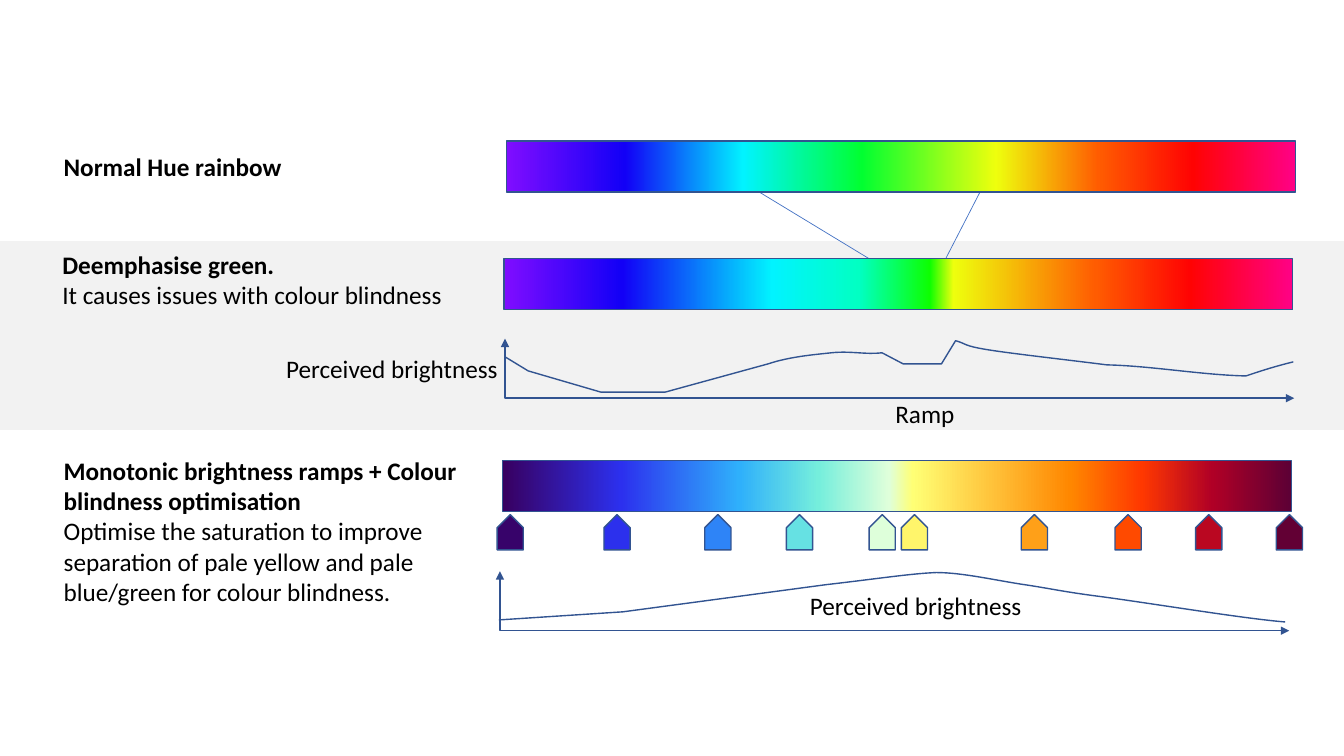
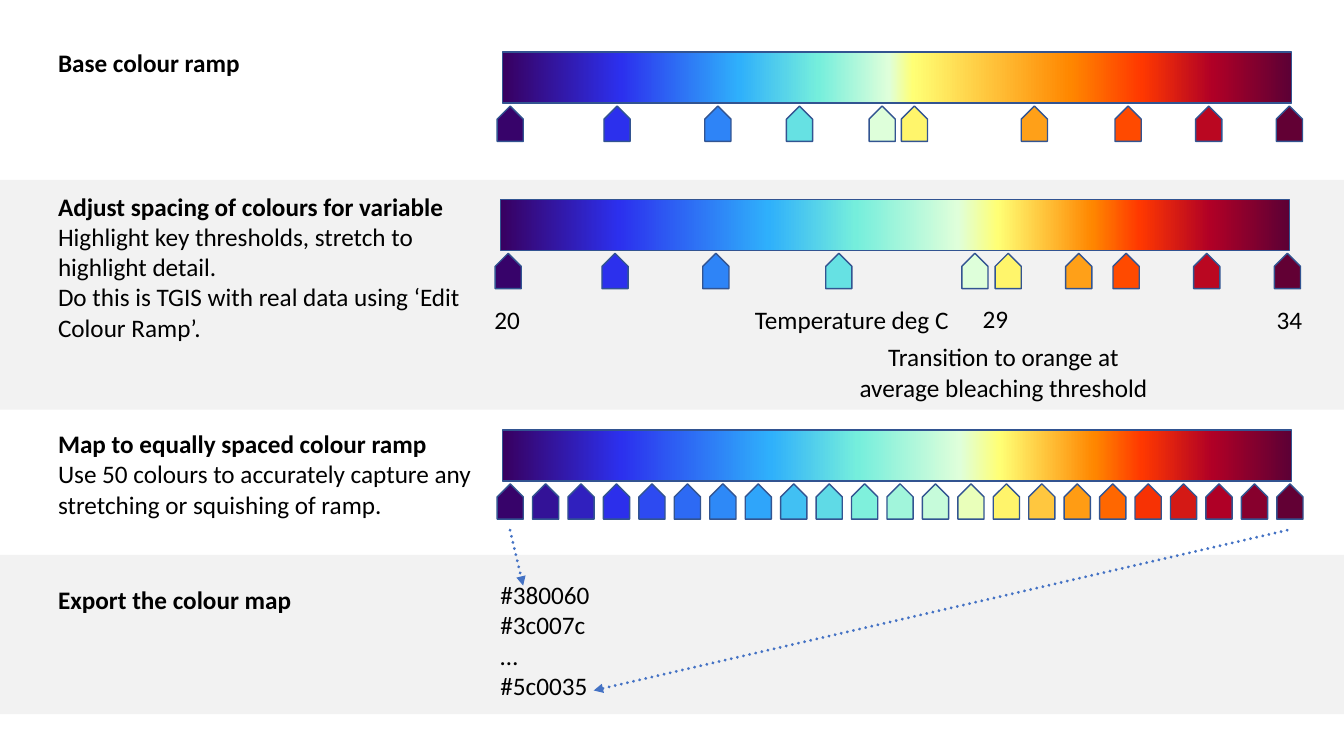
from dataclasses import dataclass
from typing import Any

from lxml.etree import SubElement
from pptx import Presentation
from pptx.dml.color import RGBColor
from pptx.enum.dml import MSO_LINE
from pptx.enum.shapes import MSO_CONNECTOR, MSO_SHAPE
from pptx.enum.text import MSO_AUTO_SIZE, PP_ALIGN
from pptx.oxml.ns import qn
from pptx.util import Emu, Inches, Pt

COLUMNS, ROWS = 133.33, 75
CELL = Inches(0.1)

INK, STRIPE, OUTLINE, LINK = "000000", "F2F2F2", "325491", "4472C4"
BODY_FONT = {"name": "Calibri", "size": Pt(18)}
BODY_FRAME = {"word_wrap": True, "auto_size": MSO_AUTO_SIZE.SHAPE_TO_FIT_TEXT}

RAMP_WIDTH, RAMP_HEIGHT = 78.25, 5.07
POINTER_LENGTH, POINTER_BREADTH = 3.5, 2.6
POINTER_DROP, FIRST_POINTER, LAST_POINTER = 5.8, -1, 76.35
AXIS_WIDTH, AXIS_HEIGHT = 78.3, 5.9

Stops = list[tuple[int, str]]
Route = list[tuple[float, ...]]

RAINBOW: Stops = [
    (0, "800DFF"), (15, "1200F6"), (30, "01F3FF"), (45, "01FF31"),
    (62, "EEFF0D"), (75, "FF5C01"), (87, "FF0303"), (100, "FF0186"),
]
LESS_GREEN: Stops = [
    (0, "800DFF"), (15, "1200F6"), (34, "01F3FF"), (45, "01FFC3"), (54, "0DFF01"),
    (57, "EEFF0D"), (75, "FF5C01"), (87, "FF0303"), (100, "FF0186"),
]
MONOTONIC = ["380060", "2C30EE", "2FB0FB", "75EEDC", "DFFFDA",
             "FFFF75", "FF8700", "FF3800", "B00026", "5C0035"]
BASE: Stops = list(zip([0, 15, 30, 40, 49, 52, 72, 81, 90, 100], MONOTONIC))
STRETCHED: Stops = list(zip([0, 15, 34, 45, 58, 63, 75, 81, 90, 100], MONOTONIC))

KEY_COLOURS = ["37036A", "2C30ED", "2E84F7", "66E1E3", "DEFFDA",
               "FFF56B", "FFA018", "FF4A00", "BA0721", "620034"]
BASE_KEYS = list(zip([-1, 9.6, 19.6, 27.7, 35.9, 39.1, 51, 60.3, 68.3, 76.3], KEY_COLOURS))
STRETCHED_KEYS = list(zip([-1, 9.6, 19.6, 31.8, 45.3, 48.6, 55.6, 60.3, 68.3, 76.3], KEY_COLOURS))
EVEN_COLOURS = [
    "37036A", "331297", "3020BE", "2C2FEB", "2D4AF1", "2D6AF4", "2E89F7", "2FA5FA",
    "41C0F3", "5FDAE6", "7FF0DC", "A1F5DB", "C6FBDA", "E9FFBA", "FFF46B", "FFC73F",
    "FF9C14", "FF6700", "F73204", "D41915", "AF0026", "87002D", "620034",
]
EVEN_GAP = (LAST_POINTER - FIRST_POINTER) / (len(EVEN_COLOURS) - 1)
EVEN_KEYS = [(FIRST_POINTER + i * EVEN_GAP, shade) for i, shade in enumerate(EVEN_COLOURS)]

LESS_GREEN_BRIGHTNESS: Route = [
    (50.1, 35.4), (52.4, 36.8), (59.6, 38.9), (66, 38.9), (76.2, 36.1),
    (78.3, 35.4, 80.6, 35.2, 82.5, 35), (84.4, 34.8, 85.9, 35.2, 87.5, 35),
    (89.6, 36.1), (93.4, 36.1), (94.8, 33.8),
    (95.9, 34.1, 95.5, 34.3, 98, 34.7), (100.5, 35.1, 105.9, 35.7, 109.8, 36.2),
    (114.2, 36.3, 119.2, 37.2, 123.6, 37.3), (125.1, 36.8, 126.3, 36.4, 128.3, 35.9),
]
MONOTONIC_BRIGHTNESS: Route = [
    (49.5, 61.5), (61.8, 60.7), (82, 58),
    (87.2, 57.4, 90.4, 56.9, 92.9, 56.8), (95.5, 56.8, 98.9, 57.6, 101.6, 58),
    (104.3, 58.4, 105.4, 58.7, 109.3, 59.2), (114.5, 59.9, 123.6, 61.4, 127.5, 61.7),
]


@dataclass
class Ramp:
    left: float
    top: float
    stops: Stops
    keys: list[tuple[float, str]]


@dataclass
class Label:
    left: float
    top: float
    width: float
    height: float
    lines: list[str]
    heading: str = ""
    centred: bool = False
    wraps: bool = True


@dataclass
class Link:
    start: tuple[float, float]
    end: tuple[float, float]
    weight: float = 0.5
    dotted_arrow: bool = False


def cells(count: float) -> Emu:
    return Emu(round(count * CELL))


def paint(target: Any, shade: str) -> None:
    target.rgb = RGBColor.from_string(shade)


def apply(target: Any, values: dict[str, Any]) -> None:
    for name, value in values.items():
        setattr(target, name, value)


def solid(shape: Any, shade: str) -> None:
    shape.fill.solid()
    paint(shape.fill.fore_color, shade)


def outline(shape: Any) -> None:
    shape.shadow.inherit = False
    paint(shape.line.color, OUTLINE)
    shape.line.width = Pt(1)


def add_arrowheads(shape: Any, *ends: str) -> None:
    for end in ends:
        SubElement(shape.line._get_or_add_ln(), qn(f"a:{end}"), type="triangle")


def add_block(slide: Any, kind: Any, *box: float) -> Any:
    return slide.shapes.add_shape(kind, *map(cells, box))


def draw_stripe(slide: Any, top: float, height: float) -> None:
    stripe = add_block(slide, MSO_SHAPE.RECTANGLE, 0, top, COLUMNS, height)
    stripe.shadow.inherit = False
    solid(stripe, STRIPE)
    stripe.line.fill.background()


def draw_ramp(slide: Any, ramp: Ramp) -> None:
    band = add_block(slide, MSO_SHAPE.RECTANGLE, ramp.left, ramp.top, RAMP_WIDTH, RAMP_HEIGHT)
    band.fill.gradient()
    band.fill.gradient_angle = 0
    stop_list = band._element.spPr.find(qn("a:gradFill")).find(qn("a:gsLst"))
    for default_stop in list(stop_list):
        stop_list.remove(default_stop)
    for share, shade in ramp.stops:
        stop = SubElement(stop_list, qn("a:gs"), pos=str(share * 1000))
        SubElement(stop, qn("a:srgbClr"), val=shade)
    outline(band)
    for offset, shade in ramp.keys:
        pointer = add_block(slide, MSO_SHAPE.PENTAGON, ramp.left + offset,
                            ramp.top + POINTER_DROP, POINTER_LENGTH, POINTER_BREADTH)
        pointer.rotation = 270
        solid(pointer, shade)
        outline(pointer)


def draw_label(slide: Any, label: Label) -> None:
    box = slide.shapes.add_textbox(*map(cells, (label.left, label.top, label.width, label.height)))
    frame = box.text_frame
    apply(frame, BODY_FRAME | {"word_wrap": label.wraps})
    texts = [label.heading] * bool(label.heading) + label.lines
    for index, text in enumerate(texts):
        paragraph = frame.add_paragraph() if index else frame.paragraphs[0]
        paragraph.alignment = PP_ALIGN.CENTER if label.centred else PP_ALIGN.LEFT
        run = paragraph.add_run()
        run.text = text
        apply(run.font, BODY_FONT | {"bold": bool(label.heading) and index == 0})
        paint(run.font.color, INK)


def draw_link(slide: Any, link: Link) -> None:
    line = slide.shapes.add_connector(MSO_CONNECTOR.STRAIGHT, *map(cells, link.start + link.end))
    SubElement(line._element.spPr, qn("a:effectLst"))
    paint(line.line.color, LINK)
    line.line.width = Pt(link.weight)
    if link.dotted_arrow:
        line.line.dash_style = MSO_LINE.ROUND_DOT
        line.line._get_or_add_ln().set("cap", "rnd")
        add_arrowheads(line, "tailEnd")


def draw_route(slide: Any, route: Route) -> Any:
    start, *rest = [tuple(map(cells, step[-2:])) for step in route]
    builder = slide.shapes.build_freeform(*start, scale=1.0)
    builder.add_line_segments(rest, close=False)
    trace = builder.convert_to_shape()
    segments = list(trace._element.iter(qn("a:lnTo")))
    for segment, step in zip(segments, route[1:]):
        if len(step) == 6:
            segment.tag = qn("a:cubicBezTo")
            for index in (0, 1):
                x, y = map(cells, step[2 * index:2 * index + 2])
                handle = SubElement(segment, qn("a:pt"), x=str(x - trace.left), y=str(y - trace.top))
                segment.insert(index, handle)
    trace.fill.background()
    outline(trace)
    return trace


def draw_brightness(slide: Any, left: float, top: float, curve: Route) -> None:
    floor = top + AXIS_HEIGHT
    axes = draw_route(slide, [(left, top), (left, floor), (left + AXIS_WIDTH, floor)])
    add_arrowheads(axes, "headEnd", "tailEnd")
    draw_route(slide, curve)


def draw_slide(deck: Any, stripes: list[tuple[float, float]], links: list[Link],
               ramps: list[Ramp], labels: list[Label]) -> Any:
    slide = deck.slides.add_slide(deck.slide_layouts[6])
    for top, height in stripes:
        draw_stripe(slide, top, height)
    for link in links:
        draw_link(slide, link)
    for ramp in ramps:
        draw_ramp(slide, ramp)
    for label in labels:
        draw_label(slide, label)
    return slide


deck = Presentation()
apply(deck, {"slide_width": cells(COLUMNS), "slide_height": cells(ROWS)})

comparison = draw_slide(
    deck,
    stripes=[(23.93, 18.72)],
    links=[Link((75.4, 19.1), (87.1, 26.2)), Link((97.2, 19.1), (92.1, 29))],
    ramps=[Ramp(50.28, 14, RAINBOW, []), Ramp(50, 25.67, LESS_GREEN, []),
           Ramp(49.87, 45.7, BASE, BASE_KEYS)],
    labels=[
        Label(5.33, 14.5, 37.9, 4, [], "Normal Hue rainbow"),
        Label(5.2, 24.26, 44.1, 7.1, ["It causes issues with colour blindness"],
              "Deemphasise green."),
        Label(27.4, 34.54, 29.5, 4, ["Perceived brightness"]),
        Label(77, 39, 29.5, 4, ["Ramp"], centred=True),
        Label(5.33, 44.66, 44.1, 16.2,
              ["Optimise the saturation to improve separation of pale yellow and pale "
               "blue/green for colour blindness."],
              "Monotonic brightness ramps + Colour blindness optimisation"),
        Label(79.36, 58.1, 29.5, 4, ["Perceived brightness"]),
    ],
)
draw_brightness(comparison, 50.1, 33.6, LESS_GREEN_BRIGHTNESS)
draw_brightness(comparison, 49.6, 56.67, MONOTONIC_BRIGHTNESS)

draw_slide(
    deck,
    stripes=[(55.04, 15.8), (17.84, 22.8)],
    links=[Link((50.6, 52.6), (51.9, 58.1), 2.25, True),
           Link((127.7, 52.6), (58.9, 68.5), 2.25, True)],
    ramps=[Ramp(49.87, 5.17, BASE, BASE_KEYS), Ramp(49.67, 19.78, STRETCHED, STRETCHED_KEYS),
           Ramp(49.87, 42.65, STRETCHED, EVEN_KEYS)],
    labels=[
        Label(4.77, 4.2, 44.1, 4, [], "Base colour ramp"),
        Label(4.77, 18.46, 44.1, 16.2,
              ["Highlight key thresholds, stretch to highlight detail.",
               "Do this is TGIS with real data using ‘Edit Colour Ramp’."],
              "Adjust spacing of colours for variable"),
        Label(44.87, 29.7, 10.9, 4, ["20"], centred=True),
        Label(122.47, 29.7, 10.9, 4, ["34"], centred=True),
        Label(93.3, 29.6, 10.9, 4, ["29"], centred=True),
        Label(83.2, 33.4, 32.7, 7.1, ["Transition to orange at average bleaching threshold"],
              centred=True),
        Label(72.9, 29.7, 23.2, 4, ["Temperature deg C"], centred=True),
        Label(4.77, 42, 44.1, 10.1,
              ["Use 50 colours to accurately capture any stretching or squishing of ramp."],
              "Map to equally spaced colour ramp"),
        Label(48.66, 57, 11, 13.1, ["#380060", "#3c007c", "…", "#5c0035"], wraps=False),
        Label(4.77, 57.5, 44.1, 4, [], "Export the colour map"),
    ],
)

deck.save("out.pptx")
